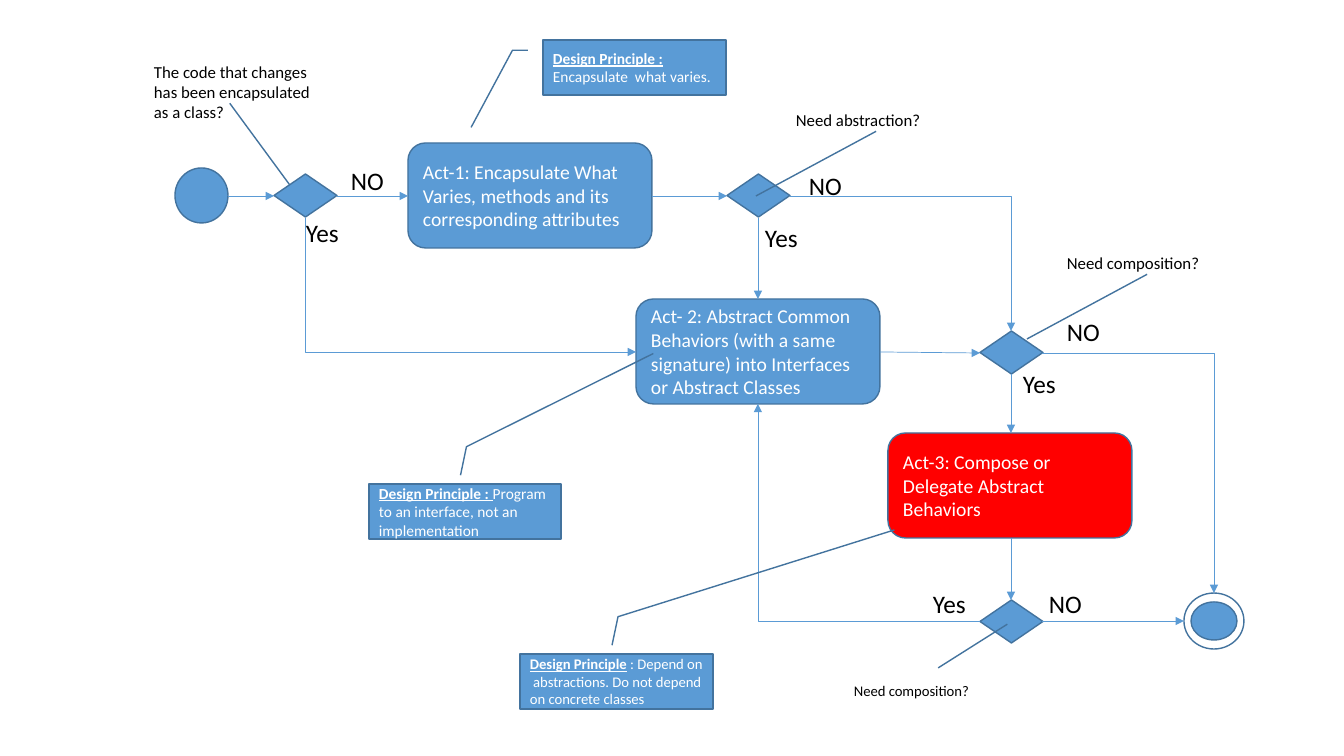
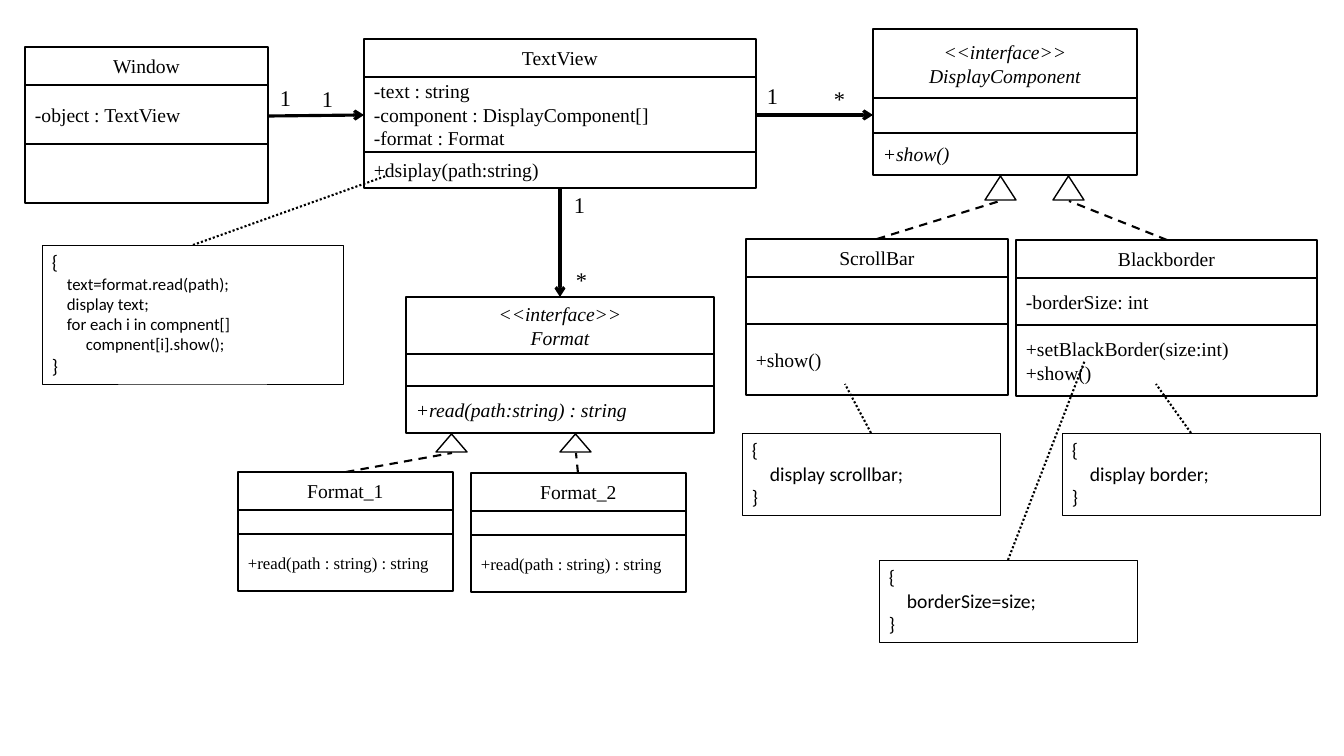
import lxml.etree
import pptx
import pptx.dml.color
import pptx.enum.dml
import pptx.enum.shapes
import pptx.enum.text
import pptx.oxml.ns
import pptx.util

SHAPE = pptx.enum.shapes.MSO_SHAPE
ALIGN = pptx.enum.text.PP_ALIGN
ANCHOR = pptx.enum.text.MSO_ANCHOR
DASH = pptx.enum.dml.MSO_LINE
qn = pptx.oxml.ns.qn


def px(length):
    return round(length * 914400 / 100.8)


def rgb(value):
    return pptx.dml.color.RGBColor.from_string(value)


class Diagram:
    BLUE, EDGE, RED = "5B9BD5", "43739E", "FF0000"
    BLACK, WHITE = "000000", "FFFFFF"
    SANS, SERIF = "Calibri", "Times New Roman"

    def __init__(self):
        self.deck = pptx.Presentation()
        self.deck.slide_width, self.deck.slide_height = px(1344), px(756)
        self.slide = None

    def new_slide(self):
        self.slide = self.deck.slides.add_slide(self.deck.slide_layouts[6])

    def shape(self, kind, left, top, width, height, fill=None, line=EDGE, weight=1):
        shape = self.slide.shapes.add_shape(kind, px(left), px(top), px(width), px(height))
        shape.shadow.inherit = False
        if fill:
            shape.fill.solid()
            shape.fill.fore_color.rgb = rgb(fill)
        else:
            shape.fill.background()
        shape.line.color.rgb = rgb(line)
        shape.line.width = pptx.util.Pt(weight)
        return shape

    def style(self, para, size, color, font, italic=False, align=ALIGN.LEFT):
        para.alignment = align
        for span in para.runs:
            span.font.size = pptx.util.Pt(size)
            span.font.name = font
            span.font.italic = italic
            span.font.color.rgb = rgb(color)

    def set_text(self, shape, text, size, color, font=SANS, **options):
        frame = shape.text_frame
        frame.word_wrap = True
        frame.vertical_anchor = ANCHOR.MIDDLE
        frame.text = text
        for para in frame.paragraphs:
            self.style(para, size, color, font, **options)

    def label(self, text, left, top, width, height, size, font):
        box = self.slide.shapes.add_textbox(px(left), px(top), px(width), px(height))
        self.set_text(box, text, size, self.BLACK, font)
        box.text_frame.word_wrap = False
        box.text_frame.vertical_anchor = ANCHOR.TOP

    def activity(self, text, left, top, fill=BLUE):
        shape = self.shape(SHAPE.FLOWCHART_ALTERNATE_PROCESS, left, top, 244, 105, fill)
        self.set_text(shape, text, 14, self.WHITE)

    def callout(self, kind, bounds, leader, fill=None):
        shape = self.shape(kind, *bounds, fill)
        for index, value in enumerate(leader):
            shape.adjustments[index] = value
        return shape

    def question(self, text, bounds, leader, size=12):
        shape = self.callout(SHAPE.LINE_CALLOUT_1_NO_BORDER, bounds, leader)
        self.set_text(shape, text, size, self.BLACK)

    def principle(self, heading, text, bounds, leader, size=11):
        shape = self.callout(SHAPE.LINE_CALLOUT_2, bounds, leader, self.BLUE)
        self.set_text(shape, heading, size, self.WHITE)
        para = shape.text_frame.paragraphs[0]
        para.runs[0].font.bold = True
        para.runs[0].font.underline = True
        para.add_run().text = text
        self.style(para, size, self.WHITE, self.SANS)

    def line(self, start, end, color=BLUE, weight=0.5, dash=None,
             head=None, tail=None, bent=False):
        kinds = pptx.enum.shapes.MSO_CONNECTOR
        connector = self.slide.shapes.add_connector(
            kinds.ELBOW if bent else kinds.STRAIGHT, *map(px, start + end))
        connector.line.color.rgb = rgb(color)
        connector.line.width = pptx.util.Pt(weight)
        if dash:
            connector.line.dash_style = dash
        properties = connector._element.spPr
        if bent:
            properties.find(qn("a:prstGeom")).set("prst", "bentConnector2")
        outline = properties.find(qn("a:ln"))
        for tag, arrow in (("a:headEnd", head), ("a:tailEnd", tail)):
            if arrow:
                lxml.etree.SubElement(outline, qn(tag)).set("type", arrow)
        lxml.etree.SubElement(properties, qn("a:effectLst"))

    def class_box(self, left, top, width, heights, texts, method_size=14):
        italic = texts[0].startswith("<<")
        sizes = (14, 14, method_size)
        aligns = (ALIGN.CENTER, ALIGN.LEFT, ALIGN.LEFT)
        for height, text, size, align in zip(heights, texts, sizes, aligns):
            part = self.shape(SHAPE.RECTANGLE, left, top, width, height, line=self.BLACK)
            if text:
                self.set_text(part, text, size, self.BLACK, self.SERIF,
                              italic=italic, align=align)
            top += height

    def note(self, left, top, width, height, body, size=14):
        shape = self.shape(SHAPE.RECTANGLE, left, top, width, height,
                           line=self.BLACK, weight=0.25)
        texts = ["{"] + [text for _, text in body] + ["}"]
        self.set_text(shape, "\n".join(texts), 14, self.BLACK)
        shape.text_frame.vertical_anchor = ANCHOR.TOP
        for para, (indent, _) in zip(shape.text_frame.paragraphs[1:], body):
            self.style(para, size, self.BLACK, self.SANS)
            para._p.get_or_add_pPr().set("marL", str(px(indent)))


diagram = Diagram()

diagram.new_slide()
diagram.shape(SHAPE.FLOWCHART_CONNECTOR, 175, 168, 53, 55, diagram.BLUE)
diagram.activity("Act-1: Encapsulate What Varies, methods and its corresponding attributes", 408, 143)
diagram.activity("Act- 2: Abstract Common\nBehaviors (with a same signature) into Interfaces\n"
                 "or Abstract Classes", 636, 299)
diagram.activity("Act-3: Compose or Delegate Abstract Behaviors", 888, 433, diagram.RED)
for left, top in ((274, 174), (727, 174), (980, 331), (980, 600)):
    diagram.shape(SHAPE.FLOWCHART_DECISION, left, top, 63, 43, diagram.BLUE)
diagram.shape(SHAPE.FLOWCHART_CONNECTOR, 1184, 593, 60, 56)
diagram.shape(SHAPE.FLOWCHART_CONNECTOR, 1191, 602, 46, 38, diagram.BLUE)

for start, end in (
    ((228, 196), (274, 196)),
    ((337, 196), (408, 196)),
    ((652, 196), (727, 196)),
    ((758, 218), (758, 299)),
    ((880, 352), (980, 353)),
    ((1011, 374), (1011, 433)),
    ((1011, 538), (1011, 600)),
    ((1042, 621), (1184, 621)),
):
    diagram.line(start, end, tail="triangle")
for start, end in (
    ((790, 196), (1011, 331)),
    ((1042, 353), (1214, 593)),
    ((980, 621), (758, 404)),
):
    diagram.line(start, end, tail="triangle", bent=True)
diagram.line((636, 352), (305, 218), head="triangle", bent=True)

for text, left, top in (
    ("NO", 341, 160), ("Yes", 296, 212),
    ("NO", 799, 165), ("Yes", 755, 217),
    ("NO", 1057, 311), ("Yes", 1013, 363),
    ("NO", 1039, 583), ("Yes", 923, 583),
):
    diagram.label(text, left, top, 53, 40, 18, diagram.SANS)

upward = (0.741, 0.482, 2.061, -0.161)
diagram.question("The code that changes has been encapsulated as a class?",
                 (144, 67, 178, 49), (0.741, 0.482, 2.402, 0.818))
diagram.question("Need abstraction?", (786, 95, 187, 49), upward)
diagram.question("Need composition?", (1057, 238, 187, 49), upward)
diagram.question("Need composition?", (844, 666, 187, 49), (0.039, 0.504, -0.854, 0.874), 10.5)
diagram.principle("Design Principle : ", "Encapsulate  what varies.", (543, 40, 183, 55),
                  (0.188, -0.083, 0.188, -0.167, 1.59, -0.393))
diagram.principle("Design Principle : ", "Program to an interface, not an implementation",
                  (369, 484, 192, 55), (-0.159, 0.477, -0.678, 0.508, -2.372, 1.481))
diagram.principle("Design Principle",
                  " : Depend on  abstractions. Do not depend on concrete classes",
                  (520, 654, 193, 55), (-0.159, 0.477, -0.678, 0.508, -2.256, 1.94), 10.5)

diagram.new_slide()
diagram.class_box(25, 47, 243, (38, 59, 59), ("Window", "-object : TextView", ""))
diagram.class_box(364, 39, 392, (38, 75, 36), (
    "TextView", "-text : string\n-component : DisplayComponent[]\n-format : Format",
    "+dsiplay(path:string)"))
diagram.class_box(873, 29, 264, (69, 35, 42),
                  ("<<interface>>\nDisplayComponent", "", "+show()"))
diagram.class_box(746, 239, 262, (38, 47, 71), ("ScrollBar", "", "+show()"))
diagram.class_box(1016, 240, 301, (38, 47, 71), (
    "Blackborder", "-borderSize: int", "+setBlackBorder(size:int)\n+show()"))
diagram.class_box(406, 297, 308, (57, 32, 47),
                  ("<<interface>>\nFormat", "", "+read(path:string) : string"))
for name, left, top in (("Format_1", 238, 472), ("Format_2", 471, 473)):
    diagram.class_box(left, top, 215, (38, 24, 57),
                      (name, "", "+read(path : string) : string"), 12)

for left, top, height in ((985, 176, 24), (1053, 176, 24), (436, 434, 18), (560, 434, 18)):
    diagram.shape(SHAPE.ISOSCELES_TRIANGLE, left, top, 31, height, line=diagram.BLACK)

diagram.note(42, 245, 301, 139, (
    (15, "text=format.read(path);"), (15, "display text;"),
    (15, "for each i in compnent[]"), (34, "compnent[i].show();")), 12)
for left, top, text in ((742, 433, "display scrollbar;"), (1062, 433, "display border;"),
                        (879, 560, "borderSize=size;")):
    diagram.note(left, top, 258, 82, ((18, text),))

for start, end in (((268, 116), (364, 115)), ((757, 115), (873, 115)), ((560, 188), (560, 297))):
    diagram.line(start, end, diagram.BLACK, 2.25, tail="arrow")
for start, end in (((877, 239), (1000, 201)), ((1167, 240), (1069, 201)),
                   ((346, 472), (452, 453)), ((578, 473), (576, 453))):
    diagram.line(start, end, diagram.BLACK, 1.5, DASH.DASH)
for start, end in (((193, 245), (386, 176)), ((871, 433), (845, 384)),
                   ((1191, 433), (1156, 384)), ((1008, 560), (1085, 360))):
    diagram.line(start, end, diagram.BLACK, 1.5, DASH.ROUND_DOT)

for text, left, top in (("1", 270, 79), ("1", 312, 80), ("1", 757, 77),
                        ("*", 824, 80), ("1", 564, 186), ("*", 566, 261)):
    diagram.label(text, left, top, 42, 37, 16, diagram.SERIF)

diagram.deck.save("out.pptx")
